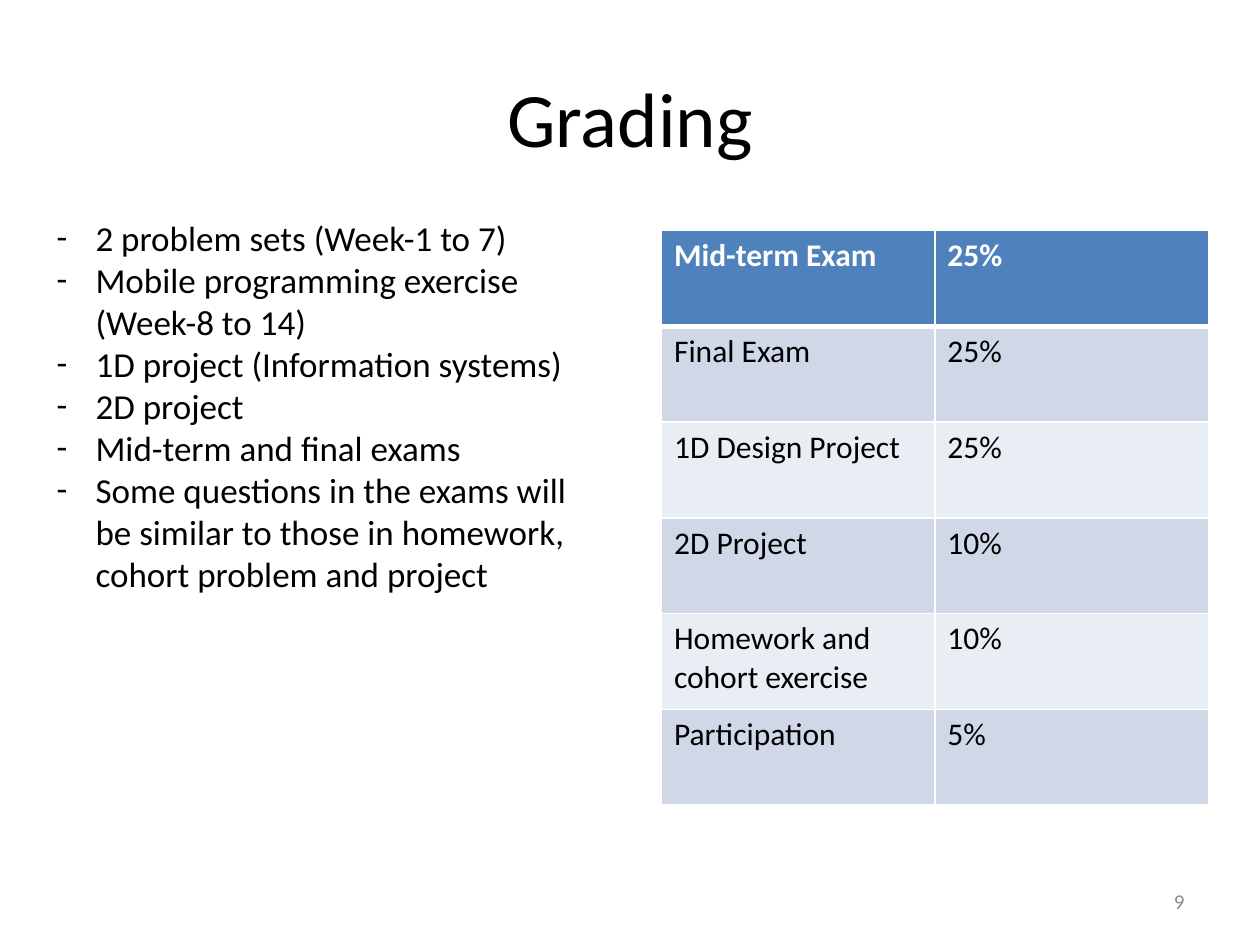
import pptx
import pptx.util
import pptx.dml.color
import pptx.enum.text
import pptx.oxml
import pptx.oxml.ns
from lxml import etree

Inches, Pt = pptx.util.Inches, pptx.util.Pt
RGBColor = pptx.dml.color.RGBColor
Align, Anchor = pptx.enum.text.PP_ALIGN, pptx.enum.text.MSO_ANCHOR
qn = pptx.oxml.ns.qn

TITLE = "Grading"
POINTS = [
    "2 problem sets (Week-1 to 7)",
    "Mobile programming exercise (Week-8 to 14)",
    "1D project (Information systems)",
    "2D project",
    "Mid-term and final exams",
    "Some questions in the exams will be similar to those in homework, "
    "cohort problem and project",
]
GRADES = [
    ("Mid-term Exam", "25%"),
    ("Final Exam", "25%"),
    ("1D Design Project", "25%"),
    ("2D Project", "10%"),
    ("Homework and cohort exercise", "10%"),
    ("Participation", "5%"),
]
PAGE_NUMBER = "9"

FONT = "Calibri"
BLACK = RGBColor(0x00, 0x00, 0x00)
WHITE = RGBColor(0xFF, 0xFF, 0xFF)
GRAY = RGBColor(0x8C, 0x8C, 0x8C)
HEADER_BLUE = RGBColor(0x4F, 0x81, 0xBD)
BANDS = [RGBColor(0xE9, 0xED, 0xF4), RGBColor(0xD0, 0xD8, 0xE8)]

WIDTH, HEIGHT = 10, 7.5
MARGIN = 0.05 * WIDTH
TABLE_LEFT, TABLE_TOP = 5.25, 1.83
COLUMN_WIDTH, ROW_HEIGHT = 2.17, 0.76
BULLET_INDENT = Inches(0.31)


def format_text(text_frame, size, color, align=Align.LEFT, bold=False):
    for paragraph in text_frame.paragraphs:
        paragraph.alignment = align
        for run in paragraph.runs:
            run.font.name = FONT
            run.font.size = Pt(size)
            run.font.bold = bold
            run.font.color.rgb = color


def add_text(slide, text, box, size, color, align=Align.LEFT, anchor=Anchor.TOP):
    shape = slide.shapes.add_textbox(*map(Inches, box))
    text_frame = shape.text_frame
    text_frame.word_wrap = True
    text_frame.vertical_anchor = anchor
    text_frame.text = text
    format_text(text_frame, size, color, align)
    return text_frame


def add_dash(paragraph):
    properties = paragraph._p.get_or_add_pPr()
    properties.set("marL", str(BULLET_INDENT))
    properties.set("indent", str(-BULLET_INDENT))
    etree.SubElement(properties, qn("a:buFont"), typeface=FONT)
    etree.SubElement(properties, qn("a:buChar"), char="-")


def set_borders(cell, widths):
    """Draw white borders; widths maps an edge tag to points."""
    properties = cell._tc.get_or_add_tcPr()
    for position, (edge, width) in enumerate(widths.items()):
        line = etree.Element(qn(f"a:{edge}"), w=str(Pt(width)))
        fill = etree.SubElement(line, qn("a:solidFill"))
        etree.SubElement(fill, qn("a:srgbClr"), val=str(WHITE))
        properties.insert(position, line)


def add_grades(slide):
    rows, columns = len(GRADES), len(GRADES[0])
    frame = slide.shapes.add_table(
        rows, columns, Inches(TABLE_LEFT), Inches(TABLE_TOP),
        Inches(columns * COLUMN_WIDTH), Inches(rows * ROW_HEIGHT))
    table = frame.table
    for column in table.columns:
        column.width = Inches(COLUMN_WIDTH)
    for index, (row, values) in enumerate(zip(table.rows, GRADES)):
        row.height = Inches(ROW_HEIGHT)
        header = index == 0
        for cell, value in zip(row.cells, values):
            cell.text = value
            format_text(cell.text_frame, 18, WHITE if header else BLACK, bold=header)
            cell.fill.solid()
            cell.fill.fore_color.rgb = HEADER_BLUE if header else BANDS[index % 2]
            set_borders(cell, {"lnL": 1, "lnR": 1,
                               "lnT": 3 if index == 1 else 1,
                               "lnB": 3 if header else 1})


def main():
    presentation = pptx.Presentation()
    presentation.slide_width = Inches(WIDTH)
    presentation.slide_height = Inches(HEIGHT)
    slide = presentation.slides.add_slide(presentation.slide_layouts[6])

    add_text(slide, TITLE, (MARGIN, 0.04 * HEIGHT, WIDTH - 2 * MARGIN, 1.25),
             44, BLACK, Align.CENTER, Anchor.MIDDLE)
    points = add_text(slide, "\n".join(POINTS), (0.35, 1.67, 4.58, 3.8), 20, BLACK)
    for paragraph in points.paragraphs:
        add_dash(paragraph)
    number_width = 2.33
    add_text(slide, PAGE_NUMBER,
             (WIDTH - MARGIN - number_width, 6.95, number_width, 0.4),
             12, GRAY, Align.RIGHT, Anchor.MIDDLE)
    add_grades(slide)
    presentation.save("out.pptx")


if __name__ == "__main__":
    main()
